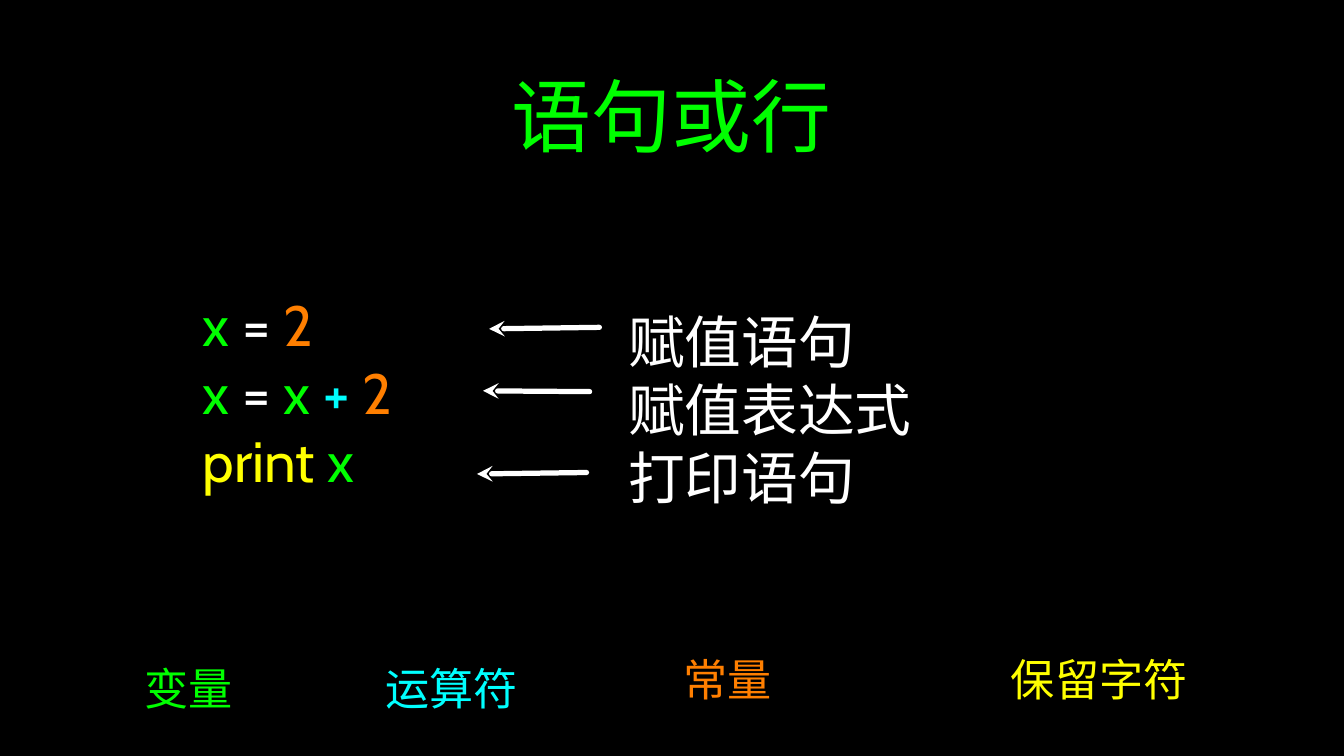
from lxml import etree
from pptx import Presentation
from pptx.dml.color import RGBColor
from pptx.enum.shapes import MSO_CONNECTOR
from pptx.enum.text import MSO_ANCHOR, PP_ALIGN
from pptx.oxml.ns import qn
from pptx.util import Inches, Pt

STRAIGHT = MSO_CONNECTOR.STRAIGHT
MIDDLE = MSO_ANCHOR.MIDDLE
LEFT, CENTER = PP_ALIGN.LEFT, PP_ALIGN.CENTER

COLORS = {
    "background": "000000",
    "plain": "FFFFFF",
    "variable": "00FF00",
    "operator": "00FFFF",
    "constant": "FF7F00",
    "reserved": "FFFF00",
}


class CodeSlide:
    """A black slide on a grid of 100 columns by 100 rows."""

    def __init__(self, deck):
        self.column = deck.slide_width / 100
        self.row = deck.slide_height / 100
        self.slide = deck.slides.add_slide(deck.slide_layouts[6])
        fill = self.slide.background.fill
        fill.solid()
        fill.fore_color.rgb = self.color("background")

    @staticmethod
    def color(role):
        return RGBColor.from_string(COLORS[role])

    def place(self, x, y):
        return round(x * self.column), round(y * self.row)

    def text(self, x, y, width, height, lines, size, font, align=LEFT, inset=0):
        """Write lines, each a list of (words, colour role) pairs."""
        box = self.slide.shapes.add_textbox(*self.place(x, y), *self.place(width, height))
        frame = box.text_frame
        frame.word_wrap = True
        frame.vertical_anchor = MIDDLE
        frame.margin_left = frame.margin_right = Inches(inset)
        frame.margin_top = frame.margin_bottom = Inches(inset)
        for index, line in enumerate(lines):
            paragraph = frame.paragraphs[0] if index == 0 else frame.add_paragraph()
            paragraph.alignment = align
            paragraph.font.size = Pt(size)
            paragraph.font.name = font
            for words, role in line:
                run = paragraph.add_run()
                run.text = words
                run.font.color.rgb = self.color(role)

    def arrow(self, tip, tail):
        """Draw a white arrow whose head is at the tip."""
        arrow = self.slide.shapes.add_connector(
            STRAIGHT, *self.place(*tip), *self.place(*tail))
        arrow.line.width = Pt(5)
        arrow.line.color.rgb = self.color("plain")
        properties = arrow._element.spPr
        outline = properties.find(qn("a:ln"))
        outline.set("cap", "rnd")
        etree.SubElement(outline, qn("a:headEnd"), type="stealth")
        etree.SubElement(properties, qn("a:effectLst"))


def main():
    deck = Presentation()
    deck.slide_width, deck.slide_height = Inches(17.78), Inches(10)
    page = CodeSlide(deck)

    # Title
    page.text(7.09, 2.6, 85.71, 25.1, [[("语句或行", "variable")]],
              76, "Arial", CENTER, inset=0.04)

    # Code, coloured by the role of each token
    code = [
        [("x ", "variable"), ("=", "plain"), (" 2", "constant")],
        [("x ", "variable"), ("= ", "plain"), ("x ", "variable"),
         ("+", "operator"), (" 2", "constant")],
        [("print ", "reserved"), ("x", "variable")],
    ]
    page.text(15.07, 29.7, 16.65, 44.2, code, 54, "Cabin")

    # Legend of roles, each box as wide as its characters
    character_width = 3.32
    legend = [
        ("变量", "variable", 10.69, 87.4),
        ("运算符", "operator", 28.63, 87.4),
        ("常量", "constant", 50.84, 86.2),
        ("保留字符", "reserved", 75.14, 86.2),
    ]
    for label, role, x, y in legend:
        page.text(x, y, len(label) * character_width, 7.1, [[(label, role)]],
                  42, "Cabin", CENTER)

    # Kinds of statement
    statements = ["赋值语句", "赋值表达式", "打印语句"]
    page.text(46.74, 40.4, 21.32, 27.3, [[(name, "plain")] for name in statements],
              54, "Arial")

    # Arrows from each kind to its line of code
    for tip, tail in [
        ((36.39, 43.5), (44.6, 43.3)),
        ((35.94, 51.7), (43.87, 51.8)),
        ((35.49, 62.7), (43.64, 62.5)),
    ]:
        page.arrow(tip, tail)

    deck.save("out.pptx")


if __name__ == "__main__":
    main()
